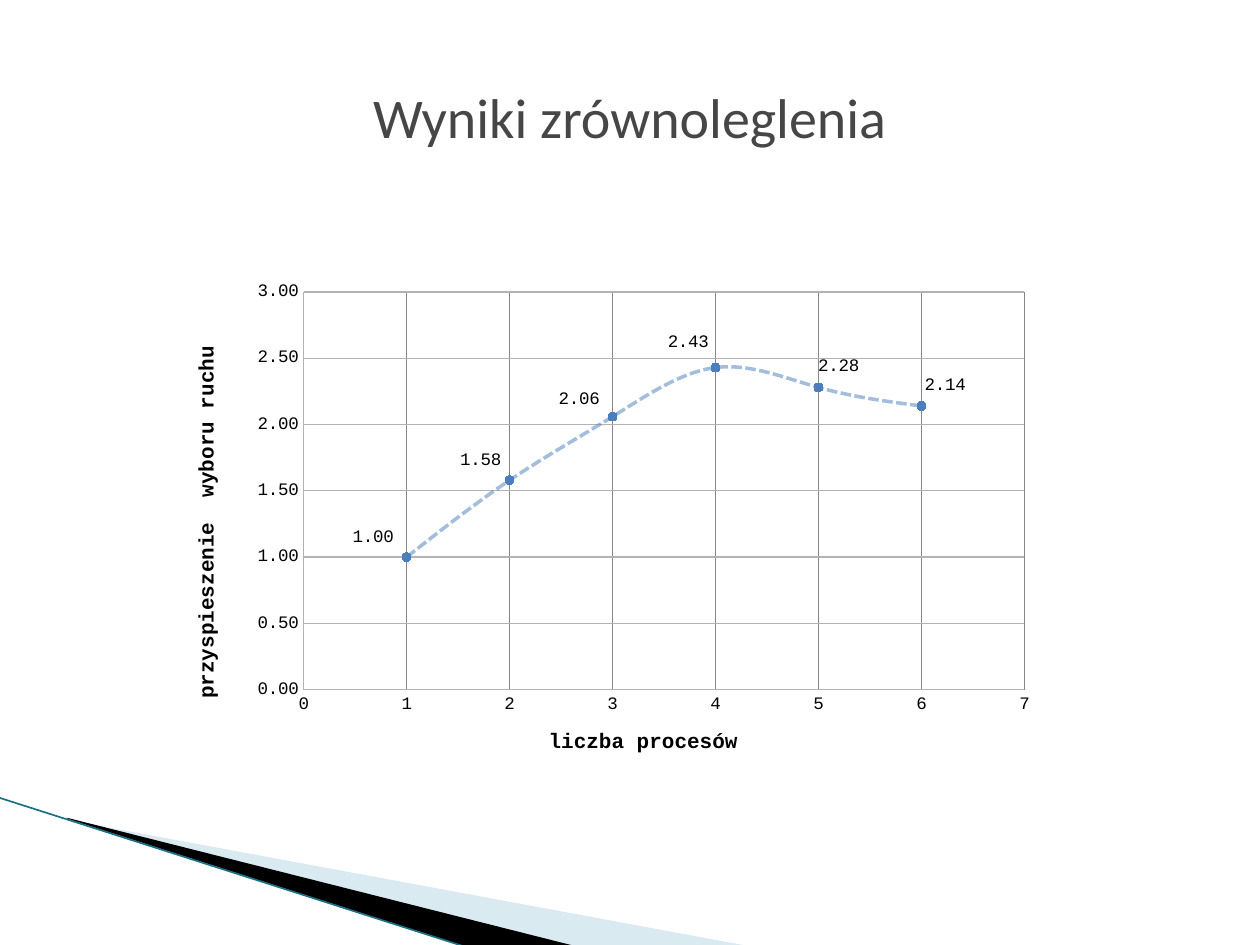
from lxml.etree import SubElement
from pptx import Presentation
from pptx.chart.data import XyChartData
from pptx.dml.color import RGBColor
from pptx.enum.chart import XL_CHART_TYPE, XL_LABEL_POSITION, XL_MARKER_STYLE, XL_TICK_MARK
from pptx.enum.dml import MSO_LINE
from pptx.enum.shapes import MSO_CONNECTOR
from pptx.enum.text import MSO_ANCHOR, PP_ALIGN
from pptx.oxml import parse_xml
from pptx.oxml.ns import nsdecls, qn
from pptx.util import Inches, Pt

BLACK = RGBColor(0x00, 0x00, 0x00)
TITLE_GRAY = RGBColor(0x46, 0x46, 0x46)
AXIS_GRAY = RGBColor(0xB3, 0xB3, 0xB3)
GRID_GRAY = RGBColor(0x87, 0x87, 0x87)
SERIES_BLUE = RGBColor(0x4B, 0x7E, 0xBC)
PALE_BLUE = RGBColor(0xA0, 0xCB, 0xDC)
TEAL = RGBColor(0x1A, 0x70, 0x85)


def set_layout(parent, index, **settings):
    """Insert a manual chart layout as the given child of parent."""
    for old_layout in parent.findall(qn("c:layout")):
        parent.remove(old_layout)
    layout = parse_xml(f"<c:layout {nsdecls('c')}><c:manualLayout/></c:layout>")
    for name, value in settings.items():
        SubElement(layout[0], qn(f"c:{name}"), val=str(value))
    parent.insert(index, layout)


def set_opacity(fill, percent):
    color = fill._xPr.find(qn("a:solidFill"))[0]
    SubElement(color, qn("a:alpha"), val=str(percent * 1000))


presentation = Presentation()
presentation.slide_width = Inches(10)
presentation.slide_height = Inches(7.5)
width, height = presentation.slide_width, presentation.slide_height
slide = presentation.slides.add_slide(presentation.slide_layouts[5])

# Corner decoration, with points in hundredths of an inch
wedges = [
    ([(55, 651), (595, 751), (456, 751), (55, 650)], PALE_BLUE, 40),
    ([(53, 649), (457, 751), (372, 752), (54, 650)], BLACK, 100),
]
for points, color, opacity in wedges:
    builder = slide.shapes.build_freeform(*points[0], scale=Inches(0.01))
    builder.add_line_segments(points[1:], close=True)
    wedge = builder.convert_to_shape()
    wedge.shadow.inherit = False
    wedge.fill.solid()
    wedge.fill.fore_color.rgb = color
    if opacity < 100:
        set_opacity(wedge.fill, opacity)
    wedge.line.fill.background()

edge = slide.shapes.add_connector(
    MSO_CONNECTOR.STRAIGHT, Inches(-0.01), Inches(6.33), Inches(3.71), Inches(7.52))
edge.line.color.rgb = TEAL
edge.line.width = Pt(0.95)
SubElement(edge._element.spPr, qn("a:effectLst"))

# Title
title = slide.shapes.title
title.left, title.top = int(width * 0.05), int(height * 0.04)
title.width, title.height = int(width * 0.9), Inches(1.25)
title.text_frame.text = "Wyniki zrównoleglenia"
title.text_frame.vertical_anchor = MSO_ANCHOR.MIDDLE
paragraph = title.text_frame.paragraphs[0]
paragraph.alignment = PP_ALIGN.CENTER
font = paragraph.runs[0].font
font.name, font.size = "Calibri", Pt(32)
font.color.rgb = TITLE_GRAY

# Chart
speedups = [1.00, 1.58, 2.06, 2.43, 2.28, 2.14]
chart_data = XyChartData(number_format="0.00")
speedup_data = chart_data.add_series("Series 1")
for processes, speedup in enumerate(speedups, start=1):
    speedup_data.add_data_point(processes, speedup)
chart = slide.shapes.add_chart(
    XL_CHART_TYPE.XY_SCATTER_SMOOTH, Inches(1.46), Inches(1.94),
    Inches(7.09), Inches(4.29), chart_data).chart
chart.has_legend = False
chart.has_title = False
chart.font.name, chart.font.size = "Courier New", Pt(10)
chart.font.color.rgb = BLACK
plot_area = chart._chartSpace.chart.plotArea
set_layout(plot_area, 0, layoutTarget="inner", xMode="edge", yMode="edge",
           x=0.134, y=0.088, w=0.807, h=0.736)

axes = [
    (chart.category_axis, "liczba procesów", 7, 1, "0", GRID_GRAY, 0, 0.404, 0.89),
    (chart.value_axis, "przyspieszenie  wyboru ruchu", 3, 0.5, "0.00", AXIS_GRAY,
     -5400000, 0.007, 0.181),
]
for axis, text, maximum, step, number_format, grid_color, rotation, x, y in axes:
    axis.minimum_scale, axis.maximum_scale, axis.major_unit = 0, maximum, step
    axis.major_tick_mark = axis.minor_tick_mark = XL_TICK_MARK.NONE
    axis.tick_labels.number_format = number_format
    axis.tick_labels.number_format_is_linked = False
    axis.format.line.color.rgb = AXIS_GRAY
    axis.format.line.width = Pt(0.75)
    axis.has_major_gridlines = True
    axis.major_gridlines.format.line.color.rgb = grid_color
    axis.major_gridlines.format.line.width = Pt(0.75)
    text_frame = axis.axis_title.text_frame
    text_frame.text = text
    text_frame._txBody.bodyPr.set("rot", str(rotation))
    font = text_frame.paragraphs[0].runs[0].font
    font.name, font.size, font.bold = "Courier New", Pt(12), True
    font.color.rgb = BLACK
    set_layout(axis.axis_title._element, 1, xMode="edge", yMode="edge", x=x, y=y)

series = chart.plots[0].series[0]
series.smooth = True
series._element.find(qn("c:smooth")).set("val", "1")
line = series.format.line
line.color.rgb = SERIES_BLUE
line.width = Pt(2)
line.dash_style = MSO_LINE.SQUARE_DOT
set_opacity(line.fill, 51)
series.marker.style = XL_MARKER_STYLE.CIRCLE
series.marker.size = 5
series.marker.format.fill.solid()
series.marker.format.fill.fore_color.rgb = SERIES_BLUE
series.marker.format.line.fill.background()

# Value labels, shifted from the right of their points by shares of the chart
label_shifts = [(-0.071, -0.035), (-0.066, -0.036), (-0.071, -0.031),
                (-0.064, -0.045), (-0.011, -0.039), (-0.007, -0.037)]
for index in range(len(label_shifts)):
    series.points[index].data_label.position = XL_LABEL_POSITION.RIGHT
for label, (x, y) in zip(series._element.xpath(".//c:dLbl"), label_shifts):
    set_layout(label, 1, x=x, y=y)
    label.insert(2, parse_xml(
        f'<c:numFmt {nsdecls("c")} formatCode="0.00" sourceLinked="0"/>'))
for leader_lines in series._element.xpath(".//c:showLeaderLines"):
    leader_lines.set("val", "0")

presentation.save("out.pptx")
